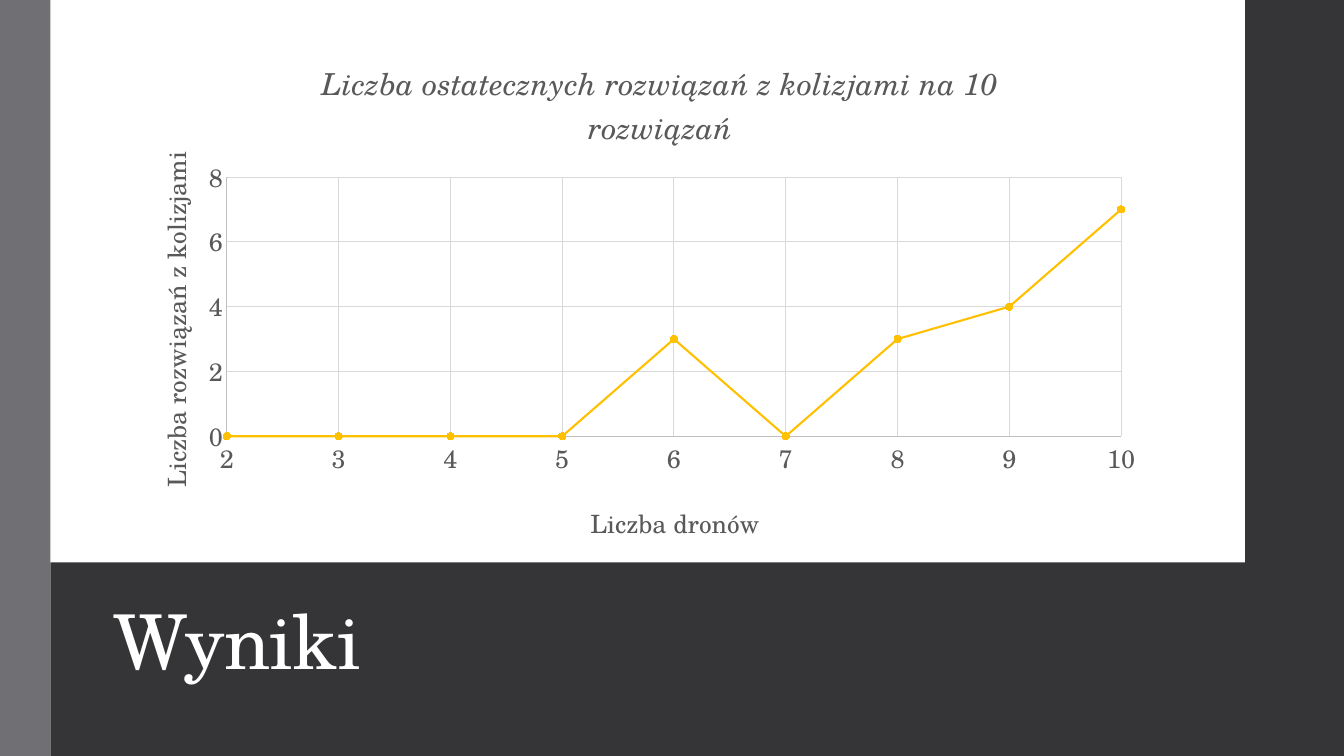
from lxml import etree
from pptx import Presentation
from pptx.chart import data as chart_data
from pptx.dml.color import RGBColor
from pptx.enum import chart as charts, shapes, text
from pptx.oxml import ns
from pptx.util import Inches, Pt

FONT = "TeX Gyre Schola"
DARK, GREY, WHITE = "353537", "6F6F74", "FFFFFF"
LABEL, AXIS, GRID, GOLD = "595959", "BFBFBF", "D9D9D9", "FFC000"
DRONES = range(2, 11)
COLLISIONS = [0, 0, 0, 0, 3, 0, 3, 4, 7]


def color(hex_string):
    """Turn a hex string into a colour."""
    return RGBColor.from_string(hex_string)


def style_font(font, size, fill, italic=False):
    """Set the face, size, colour and slant of a font."""
    font.name, font.size = FONT, Pt(size)
    font.bold, font.italic = False, italic
    font.color.rgb = color(fill)


def style_line(line, fill, width):
    """Set the colour and width of a line."""
    line.color.rgb = color(fill)
    line.width = Pt(width)


def add_panel(page, left, top, width, height, fill):
    """Add a plain filled rectangle behind the title."""
    panel = page.shapes.add_shape(
        shapes.MSO_SHAPE.RECTANGLE, *map(Inches, (left, top, width, height)))
    panel.shadow.inherit = False
    panel.fill.solid()
    panel.fill.fore_color.rgb = color(fill)
    panel.line.fill.background()
    page.shapes.title.element.addprevious(panel.element)


def format_title(page, words):
    """Place and style the title placeholder."""
    title = page.shapes.title
    title.left, title.top = Inches(1.03), Inches(5.67)
    title.width, title.height = Inches(11.11), Inches(1.18)
    frame = title.text_frame
    frame.text = words
    frame.word_wrap = True
    frame.auto_size = text.MSO_AUTO_SIZE.NONE
    frame.vertical_anchor = text.MSO_ANCHOR.BOTTOM
    para = frame.paragraphs[0]
    para.alignment = text.PP_ALIGN.LEFT
    para.line_spacing = 0.85
    style_font(para.runs[0].font, 54, WHITE)
    for properties in title.element.iter(ns.qn("a:rPr")):
        properties.set("spc", "-50")


def set_layout(layout, **fractions):
    """Fix a chart part at fractions of the chart area."""
    manual = etree.SubElement(layout, ns.qn("c:manualLayout"))
    if "w" in fractions:
        etree.SubElement(manual, ns.qn("c:layoutTarget")).set("val", "inner")
    for side in "xy":
        etree.SubElement(manual, ns.qn(f"c:{side}Mode")).set("val", "edge")
    for name, value in fractions.items():
        etree.SubElement(manual, ns.qn(f"c:{name}")).set("val", str(value))


def place_plot(chart, **fractions):
    """Fix the inner plot area of a chart."""
    area = chart.element.find(".//" + ns.qn("c:plotArea"))
    layout = area.find(ns.qn("c:layout"))
    if layout is None:
        layout = etree.Element(ns.qn("c:layout"))
        area.insert(0, layout)
    set_layout(layout, **fractions)


def add_caption(owner, words, size, x, y, italic=False):
    """Write and place the title of a chart or an axis."""
    title = owner.chart_title if hasattr(owner, "chart_title") else owner.axis_title
    title.text_frame.text = words
    style_font(title.text_frame.paragraphs[0].runs[0].font, size, LABEL, italic)
    layout = title.element.find(ns.qn("c:layout"))
    if layout is None:
        layout = etree.Element(ns.qn("c:layout"))
        title.element.find(ns.qn("c:tx")).addnext(layout)
    set_layout(layout, x=x, y=y)
    return title


def format_axis(axis, low, high, step):
    """Set the scale, lines and labels of an axis."""
    axis.minimum_scale, axis.maximum_scale = low, high
    axis.major_unit = step
    axis.major_tick_mark = axis.minor_tick_mark = charts.XL_TICK_MARK.NONE
    axis.has_major_gridlines = True
    style_line(axis.major_gridlines.format.line, GRID, 0.75)
    style_line(axis.format.line, AXIS, 0.75)
    style_font(axis.tick_labels.font, 18, LABEL)


def format_series(series):
    """Draw a series as a straight line with round markers."""
    series.smooth = False
    style_line(series.format.line, GOLD, 1.5)
    marker = series.marker
    marker.style, marker.size = charts.XL_MARKER_STYLE.CIRCLE, 5
    marker.format.fill.solid()
    marker.format.fill.fore_color.rgb = color(GOLD)
    style_line(marker.format.line, GOLD, 0.75)


def add_collision_chart(page):
    """Add the chart of collisions against the number of drones."""
    points = chart_data.XyChartData()
    series = points.add_series("Series 1")
    for drones, collisions in zip(DRONES, COLLISIONS):
        series.add_data_point(drones, collisions)
    chart = page.shapes.add_chart(
        charts.XL_CHART_TYPE.XY_SCATTER_LINES,
        *map(Inches, (1.18, 0.25, 10.29, 5.27)), points).chart
    style_font(chart.font, 18, "000000")
    chart.has_legend = False
    chart.plots[0].vary_by_categories = False
    format_series(chart.plots[0].series[0])
    format_axis(chart.category_axis, 2, 10, 1)
    format_axis(chart.value_axis, 0, 8, 2)
    add_caption(chart, "Liczba ostatecznych rozwiązań z kolizjami na 10 rozwiązań",
                21.6, 0.19, 0.05, italic=True)
    add_caption(chart.category_axis, "Liczba dronów", 18, 0.45, 0.89)
    side = add_caption(chart.value_axis, "Liczba rozwiązań z kolizjami", 18, 0.03, 0.23)
    side.element.find(".//" + ns.qn("a:bodyPr")).set("rot", "-5400000")
    place_plot(chart, x=0.104, y=0.286, w=0.862, h=0.488)


def main():
    """Build the slide and save it."""
    deck = Presentation()
    deck.slide_width, deck.slide_height = Inches(13.33), Inches(7.5)
    page = deck.slides.add_slide(deck.slide_layouts[5])
    add_panel(page, 0.5, 0, 11.85, 5.58, WHITE)
    add_panel(page, 0.5, 5.58, 11.85, 1.92, DARK)
    add_panel(page, 0, 0, 0.5, 7.5, GREY)
    add_panel(page, 12.35, 0, 0.98, 7.5, DARK)
    format_title(page, "Wyniki")
    add_collision_chart(page)
    deck.save("out.pptx")


main()
